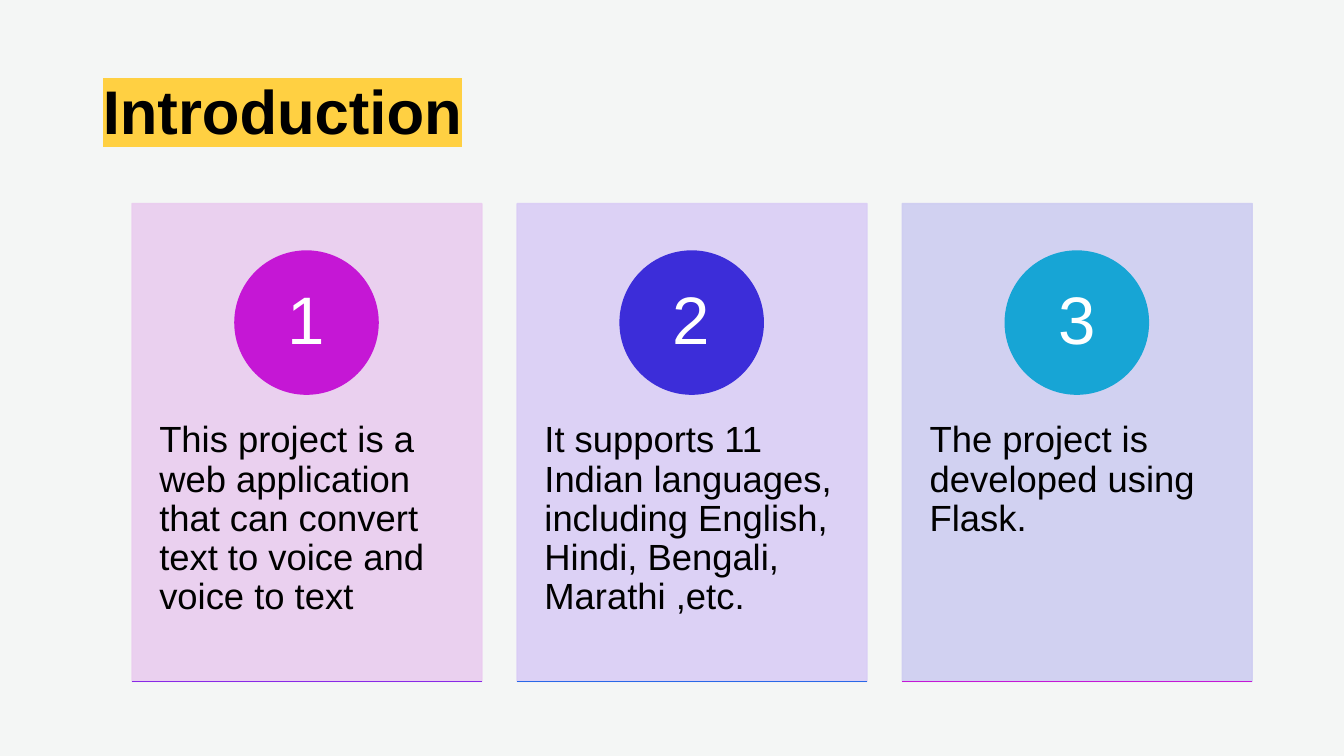
from dataclasses import dataclass

from lxml import etree
from pptx import Presentation
from pptx import util as u
from pptx.dml.color import RGBColor
from pptx.enum import shapes, text
from pptx.oxml.ns import qn

PX = 9144
SLIDE_W, SLIDE_H = 1333, 750
CARD_LEFT, CARD_TOP, CARD_W, CARD_H, CARD_STEP = 131, 202, 347, 474, 382
CIRCLE_TOP, CIRCLE_SIZE = 249, 142
BODY_TOP, BODY_H = 382, 284

COLOURS = {
    "white": "FFFFFF", "tint": "F0F3F1", "black": "000000", "yellow": "FFD042",
    "pink": "EACCEF", "lilac": "DACDF6", "periwinkle": "CECDF1",
    "magenta": "C517D5", "indigo": "3C2DD9", "cyan": "17A5D5",
    "violet": "8829E7", "blue": "2968E7",
}


@dataclass(frozen=True)
class Card:
    body: str
    panel: str
    circle: str
    rule: str


CARDS = [
    Card("This project is a web application that can convert text to voice and voice to text",
         "pink", "magenta", "violet"),
    Card("It supports 11 Indian languages, including English, Hindi, Bengali, Marathi ,etc.",
         "lilac", "indigo", "blue"),
    Card("The project is developed using Flask.", "periwinkle", "cyan", "magenta"),
]


def px(*lengths: int) -> list[int]:
    return [u.Emu(length * PX) for length in lengths]


def rgb(colour: str) -> RGBColor:
    return RGBColor.from_string(COLOURS[colour])


def add_filled(page, kind, place: tuple, colour: str, opacity: int = 100, outlined: bool = True):
    box = page.shapes.add_shape(kind, *px(*place))
    box.shadow.inherit = False
    box.fill.solid()
    box.fill.fore_color.rgb = rgb(colour)
    if outlined:
        box.line.color.rgb = rgb(colour)
        box.line.width = u.Pt(1)
    else:
        box.line.fill.background()
    if opacity < 100:
        for value in box.element.spPr.iter(qn("a:srgbClr")):
            etree.SubElement(value, qn("a:alpha"), val=str(opacity * 1000))
    return box


def write(box, words: str, colour: str, size: int, margins: tuple,
          anchor=text.MSO_ANCHOR.TOP, align=text.PP_ALIGN.LEFT,
          spacing: float = 0.9, bold: bool = False):
    frame = box.text_frame
    left, top, right, bottom = px(*margins)
    frame_format = {
        "word_wrap": True, "auto_size": text.MSO_AUTO_SIZE.NONE, "vertical_anchor": anchor,
        "margin_left": left, "margin_top": top, "margin_right": right, "margin_bottom": bottom,
    }
    for name, value in frame_format.items():
        setattr(frame, name, value)
    para = frame.paragraphs[0]
    para.alignment = align
    para.line_spacing = spacing
    span = para.add_run()
    span.text = words
    for name, value in {"name": "Arial", "size": u.Pt(size), "bold": bold}.items():
        setattr(span.font, name, value)
    span.font.color.rgb = rgb(colour)
    return span


def add_rule(page, left: int, top: int, width: int, colour: str) -> None:
    rule = page.shapes.add_connector(
        shapes.MSO_CONNECTOR.STRAIGHT, *px(left, top, left + width, top))
    rule.line.color.rgb = rgb(colour)
    rule.line.width = u.Pt(1)
    etree.SubElement(rule.element.spPr, qn("a:effectLst"))


def add_title(page) -> None:
    title = page.shapes.title
    for name, value in zip(("left", "top", "width", "height"), px(92, 61, 1132, 140)):
        setattr(title, name, value)
    span = write(title, "Introduction", "black", 44, (10, 11, 10, 5), spacing=1.0, bold=True)
    fill = span.font.fill
    fill.solid()
    fill.fore_color.rgb = rgb("black")
    highlight = etree.Element(qn("a:highlight"))
    etree.SubElement(highlight, qn("a:srgbClr"), val=COLOURS["yellow"])
    title.element.find(".//" + qn("a:rPr")).find(qn("a:solidFill")).addnext(highlight)


def add_card(page, index: int, card: Card) -> None:
    left = CARD_LEFT + index * CARD_STEP
    add_filled(page, shapes.MSO_SHAPE.RECTANGLE, (left, CARD_TOP, CARD_W, CARD_H), card.panel, 90)
    body = page.shapes.add_textbox(*px(left, BODY_TOP, CARD_W, BODY_H))
    write(body, card.body, "black", 26, (27, 36, 27, 36))
    circle_left = left + (CARD_W - CIRCLE_SIZE) // 2
    circle = add_filled(page, shapes.MSO_SHAPE.OVAL,
                        (circle_left, CIRCLE_TOP, CIRCLE_SIZE, CIRCLE_SIZE), card.circle)
    write(circle, str(index + 1), "white", 48, (11, 1, 11, 1),
          text.MSO_ANCHOR.MIDDLE, text.PP_ALIGN.CENTER)
    add_rule(page, left, CARD_TOP + CARD_H, CARD_W, card.rule)


def main() -> None:
    deck = Presentation()
    deck.slide_width, deck.slide_height = px(SLIDE_W, SLIDE_H)
    page = deck.slides.add_slide(deck.slide_layouts.get_by_name("Title Only"))
    for colour, opacity in (("white", 100), ("tint", 70)):
        backdrop = add_filled(page, shapes.MSO_SHAPE.RECTANGLE,
                              (0, 0, SLIDE_W, SLIDE_H), colour, opacity, outlined=False)
        page.shapes.title.element.addprevious(backdrop.element)
    add_title(page)
    for index, card in enumerate(CARDS):
        add_card(page, index, card)
    deck.save("out.pptx")


if __name__ == "__main__":
    main()
